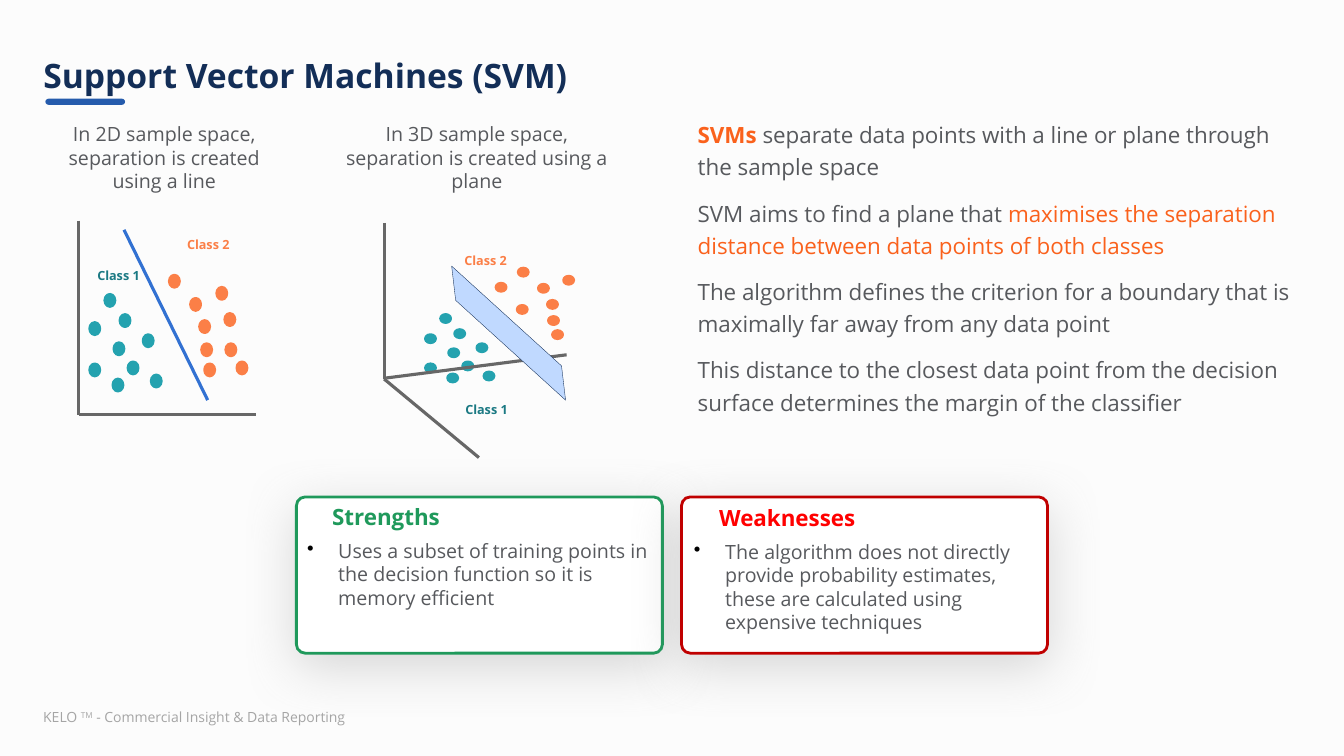
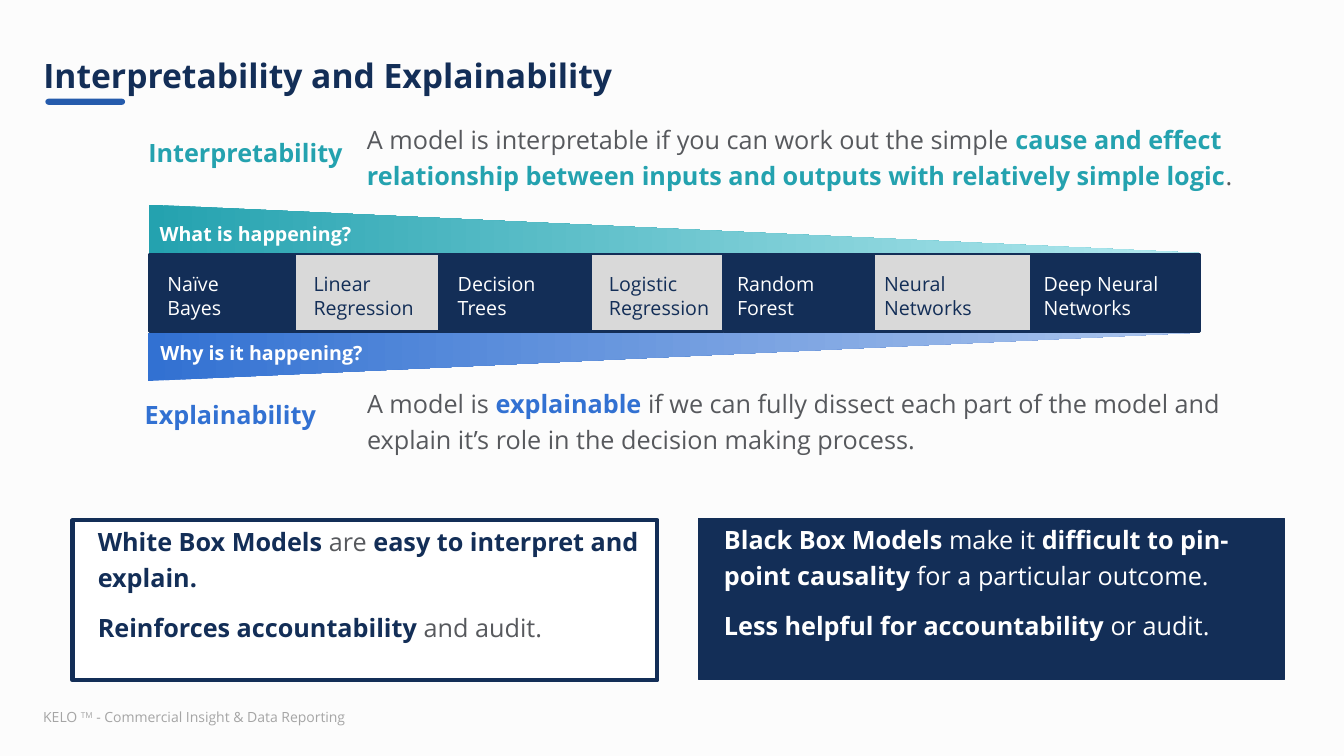
"""Builds two slides on support vector machines and model interpretability."""
from lxml import etree
from pptx import Presentation
from pptx.dml.color import RGBColor
from pptx.enum.shapes import MSO_CONNECTOR, MSO_SHAPE
from pptx.enum.text import MSO_ANCHOR, PP_ALIGN
from pptx.oxml.ns import qn
from pptx.util import Inches, Pt

RECT, ROUND = MSO_SHAPE.RECTANGLE, MSO_SHAPE.ROUNDED_RECTANGLE
OVAL, WEDGE = MSO_SHAPE.OVAL, MSO_SHAPE.RIGHT_TRIANGLE
STRAIGHT, TOP, MIDDLE = MSO_CONNECTOR.STRAIGHT, MSO_ANCHOR.TOP, MSO_ANCHOR.MIDDLE
LEFT, CENTER = PP_ALIGN.LEFT, PP_ALIGN.CENTER

FONT = "Open Sans"
NAVY, BLUE, TEAL, ORANGE = "132E57", "3271D2", "24A2AF", "FB7F47"
GREY, AXIS, WHITE, HOT, SILVER = "57595D", "676767", "FFFFFF", "FA611C", "D9D9D9"
FOOT = [("KELO ",), ("TM", None, None, 30), (" - Commercial Insight & Data Reporting",)]

CAPTIONS = [
    ("In 2D sample space, separation is created using a line", 0.35, 2.56),
    ("In 3D sample space, separation is created using a plane", 3.27, 2.92),
]
PLOTS = [
    {
        "dot": (0.1, 0.12),
        TEAL: [(1.17, 3.82), (0.94, 3.26), (1.47, 3.38), (1.32, 3.65), (1.09, 2.98),
               (0.94, 3.67), (1.55, 3.78), (1.24, 3.18), (1.18, 3.46)],
        ORANGE: [(2.05, 3.47), (2.08, 3.67), (2.4, 3.65), (1.94, 3.02), (2.28, 3.17),
                 (1.73, 2.79), (2.03, 3.24), (2.2, 2.91), (2.29, 3.47)],
        "names": [("Class 2", ORANGE, 1.69, 2.3), ("Class 1", "1B7983", 0.8, 2.61)],
        "lines": [(AXIS, 0.78, 2.19, 0.78, 4.12), (AXIS, 0.78, 4.11, 2.54, 4.11),
                  (BLUE, 1.23, 2.28, 2.06, 3.97)],
    },
    {
        "dot": (0.1, 0.08),
        TEAL: [(4.49, 3.75), (4.27, 3.36), (4.78, 3.45), (4.64, 3.63), (4.42, 3.16),
               (4.27, 3.65), (4.85, 3.73), (4.56, 3.31), (4.5, 3.5)],
        ORANGE: [(5.49, 3.18), (5.53, 3.32), (5.18, 3.07), (5.39, 2.86), (5.19, 2.7),
                 (5.48, 3.02), (5.64, 2.78), (4.97, 2.85)],
        "names": [("Class 2", ORANGE, 4.44, 2.46), ("Class 1", "1B7983", 4.45, 3.94)],
        "lines": [(AXIS, 3.81, 2.21, 3.81, 3.76), (AXIS, 3.81, 3.76, 4.75, 4.54),
                  (AXIS, 3.83, 3.75, 5.62, 3.52)],
    },
]
PLANE = [(4.48, 2.64), (5.57, 3.63), (5.61, 3.97), (4.52, 2.98)]
POINTS = [
    [("SVMs ", HOT, True),
     ("separate data points with a line or plane through the sample space",)],
    [("SVM aims to find a plane that ",),
     ("maximises the separation distance between data points of both classes", HOT)],
    [("The algorithm defines the criterion for a boundary that is maximally far away "
      "from any data point",)],
    [("This distance to the closest data point from the decision surface determines "
      "the margin of the classifier",)],
]
CARDS = [
    ("Strengths", "1F995B", "1F995B", 2.94, (0.08, 0.04, 0.04, 0.04),
     "Uses a subset of training points in the decision function so it is memory efficient"),
    ("Weaknesses", "FF0000", "C00000", 6.76, (0.1, 0.05, 0.1, 0.05),
     "The algorithm does not directly provide probability estimates, these are "
     "calculated using expensive techniques"),
]

TERMS = [
    ("Interpretability", TEAL, 0.93, 1.31, 1.17, 8.9,
     [("A model is interpretable if you can work out the simple ",),
      ("cause and effect relationship between inputs and outputs with relatively "
       "simple logic", TEAL, True), (".",)]),
    ("Explainability", BLUE, 0.78, 3.91, 3.79, 9.35,
     [("A model is ",), ("explainable ", BLUE, True),
      ("if we can fully dissect each part of the model and explain it’s role in the "
       "decision making process.",)]),
]
MODELS = [
    ("Naïve Bayes", 1.48, 0.18, 0.4), ("Linear Regression", 2.92, 0.19, 0.1),
    ("Decision Trees", 4.36, 0.18, 0.1), ("Logistic Regression", 5.86, 0.18, 0.05),
    ("Random Forest", 7.18, 0.13, 0.1), ("Neural Networks", 8.66, 0.11, 0.1),
    ("Deep Neural Networks", 10.23, 0.12, 0.1),
]
END = 11.9
WEDGES = [
    ("What is happening?", 1.48, 2.03, TEAL, "B5EAF0", False, 1.03, 2.15),
    ("Why is it happening?", 1.47, 3.3, BLUE, "ADC6ED", True, 1.09, 3.33),
]
BOXES = [
    ((0.72, 5.16, 5.8, 1.59), WHITE, 3, NAVY, GREY,
     [[("White Box Models ", NAVY, True), ("are ",),
       ("easy to interpret and explain.", NAVY, True)],
      [("Reinforces accountability ", NAVY, True), ("and audit.",)]]),
    ((6.93, 5.14, 5.81, 1.6), NAVY, 0.75, NAVY, WHITE,
     [[("Black Box Models ", None, True), ("make it ",),
       ("difficult to pin-point causality ", None, True), ("for a particular outcome.",)],
      [("Less helpful for accountability ", None, True), ("or audit.",)]]),
]


def rgb(code):
    """Turn a hex string into a colour."""
    return RGBColor.from_string(code)


def sub(node, tag, **attrs):
    """Add a drawing element below a node."""
    return etree.SubElement(node, qn(tag), attrs)


def text(frame, runs, size=14, color=GREY, bold=False, align=LEFT, lead=None,
         gap=0, indent=0, bullet=None):
    """Add one paragraph of (text, colour, bold, raise) runs to a frame."""
    para = frame.add_paragraph() if frame.text else frame.paragraphs[0]
    if gap and len(frame.paragraphs) > 1:
        para.space_before = Pt(gap)
    para.alignment = align
    if lead:
        para.line_spacing = lead
    props = para._p.get_or_add_pPr()
    if indent:
        props.set("marL", str(Inches(indent)))
        props.set("indent", str(-Inches(indent) if bullet else 0))
    if bullet:
        sub(sub(props, "a:buClr"), "a:srgbClr", val="000000")
        sub(props, "a:buChar", char=bullet)
    for item in [(runs,)] if isinstance(runs, str) else runs:
        words, tint, heavy, lift = (*item, None, None, None)[:4]
        run = para.add_run()
        run.text = words
        font = run.font
        font.name, font.size = FONT, Pt(size)
        font.bold = bold if heavy is None else heavy
        font.color.rgb = rgb(tint or color)
        if lift:
            run._r.get_or_add_rPr().set("baseline", str(lift * 1000))


def setup(frame, pad=(0.1, 0.05, 0.1, 0.05), anchor=TOP):
    """Set wrap, insets and anchor of a frame."""
    frame.word_wrap = True
    frame.vertical_anchor = anchor
    frame.margin_left, frame.margin_top, frame.margin_right, frame.margin_bottom = map(Inches, pad)
    return frame


def area(slide, at, **kind):
    """Add a text box and return its frame."""
    return setup(slide.shapes.add_textbox(*map(Inches, at)).text_frame, **kind)


def paint(shape, fill, line=None, width=1):
    """Give a shape a flat fill and an optional outline."""
    shape.shadow.inherit = False
    if fill:
        shape.fill.solid()
        shape.fill.fore_color.rgb = rgb(fill)
    if line:
        shape.line.color.rgb = rgb(line)
        shape.line.width = Pt(width)
    else:
        shape.line.fill.background()
    return shape


def form(slide, kind, at, fill, line=None, width=1):
    """Add a painted preset shape."""
    return paint(slide.shapes.add_shape(kind, *map(Inches, at)), fill, line, width)


def rule(slide, color, *ends):
    """Add a straight line."""
    line = slide.shapes.add_connector(STRAIGHT, *map(Inches, ends))
    line.line.color.rgb = rgb(color)
    line.line.width = Pt(2.25)
    sub(line._element.spPr, "a:effectLst")


def glow(shape):
    """Give a shape a wide soft shadow."""
    fx = shape._element.spPr.find(qn("a:effectLst"))
    cast = sub(fx, "a:outerShdw", blurRad=str(Pt(39)), dist=str(Pt(9)),
               dir="5400000", algn="t", rotWithShape="0")
    sub(sub(cast, "a:srgbClr", val="808080"), "a:alpha", val="29000")


def base(deck):
    """Put the background and the title place on the layout."""
    layout = deck.slide_layouts[5]
    layout.background.fill.solid()
    layout.background.fill.fore_color.rgb = rgb("FCFCFC")
    title = layout.placeholders[0]
    title.left, title.top, title.width, title.height = map(Inches, (0.33, 0.38, 12.65, 0.77))
    setup(title.text_frame, anchor=MIDDLE)
    return layout


def share(layout, slide):
    """Move the footer and title bar made on a slide to its layout."""
    foot = area(slide, (0.33, 6.98, 3.45, 0.27))
    text(foot, FOOT, size=10, color="A5A5A5")
    bar = form(slide, ROUND, (0.45, 0.98, 0.79, 0.06), "255BAC")
    bar.adjustments[0] = 0.5
    for shape in list(slide.shapes)[-2:]:
        layout.shapes._spTree.append(shape._element)


def start(deck, layout, title):
    """Add a slide with its title."""
    slide = deck.slides.add_slide(layout)
    text(slide.shapes.title.text_frame, title, size=24, color=NAVY, bold=True, lead=0.9)
    return slide


def vectors(slide):
    """Fill the support vector slide."""
    for words, left, width in CAPTIONS:
        text(area(slide, (left, 1.16, width, 0.81)), words, align=CENTER)
    for plot in PLOTS:
        wide, high = plot["dot"]
        for tint in (TEAL, ORANGE):
            for x, y in plot[tint]:
                form(slide, OVAL, (x - wide / 2, y - high / 2, wide, high), tint, tint, 2)
        for line in plot["lines"]:
            rule(slide, *line)
        for name, tint, left, top in plot["names"]:
            text(area(slide, (left, top, 0.75, 0.25)), name, size=9, color=tint,
                 bold=True, align=CENTER)
    spots = [(Inches(x), Inches(y)) for x, y in PLANE]
    sheet = slide.shapes.build_freeform(*spots[0], scale=1.0)
    sheet.add_line_segments(spots[1:], close=True)
    paint(sheet.convert_to_shape(), "C0D9FF", NAVY, 0.25)
    body = area(slide, (6.67, 1.15, 6.23, 3.2), pad=(0, 0, 0, 0))
    for point in POINTS:
        text(body, point, size=16, lead=1.2, gap=10, indent=0.25)
    for head, tint, edge, left, pad, words in CARDS:
        card = form(slide, ROUND, (left, 4.93, 3.63, 1.55), WHITE, edge, 2)
        card.adjustments[0] = 0.056
        glow(card)
        frame = setup(card.text_frame, pad=pad)
        text(frame, head, size=16, color=tint, bold=True, indent=0.25)
        text(frame, words, gap=6, indent=0.31, bullet="•")


def models(slide):
    """Fill the interpretability slide."""
    for name, tint, left, top, body, width, words in TERMS:
        text(area(slide, (left, top, 3.01, 0.4)), name, size=18, color=tint,
             bold=True, align=CENTER)
        text(area(slide, (3.39, body, width, 0.95), pad=(0, 0, 0, 0)), words,
             size=18, lead=1.2, indent=0.25)
    edges = [model[1] for model in MODELS] + [END]
    for i, (name, left, near, far) in enumerate(MODELS):
        fill, ink = ((NAVY, WHITE), (SILVER, NAVY))[i % 2]
        cell = form(slide, RECT, (left, 2.52, edges[i + 1] - left, 0.77), fill, NAVY, 2)
        text(setup(cell.text_frame, pad=(near, 0.18, far, 0)), name, color=ink)
    for words, left, top, dark, pale, flip, x, y in WEDGES:
        wedge = form(slide, WEDGE, (left, top, 10.41, 0.48), None)
        wedge.fill.gradient()
        wedge.fill.gradient_angle = 0
        for stop, tint, place in zip(wedge.fill.gradient_stops, (dark, pale), (0, 1)):
            stop.color.rgb, stop.position = rgb(tint), place
        if flip:
            wedge._element.spPr.find(qn("a:xfrm")).set("flipV", "1")
        text(area(slide, (x, y, 3.01, 0.34)), words, color=WHITE, bold=True, align=CENTER)
    for at, fill, width, edge, ink, paras in BOXES:
        frame = setup(form(slide, RECT, at, fill, edge, width).text_frame, pad=(0, 0, 0, 0))
        for runs in paras:
            text(frame, runs, size=18, color=ink, lead=1.2, gap=10, indent=0.25)


def main():
    """Build and save the deck."""
    deck = Presentation()
    deck.slide_width, deck.slide_height = Inches(13.33), Inches(7.5)
    layout = base(deck)
    first = start(deck, layout, "Support Vector Machines (SVM)")
    share(layout, first)
    vectors(first)
    models(start(deck, layout, "Interpretability and Explainability"))
    deck.save("out.pptx")


if __name__ == "__main__":
    main()
